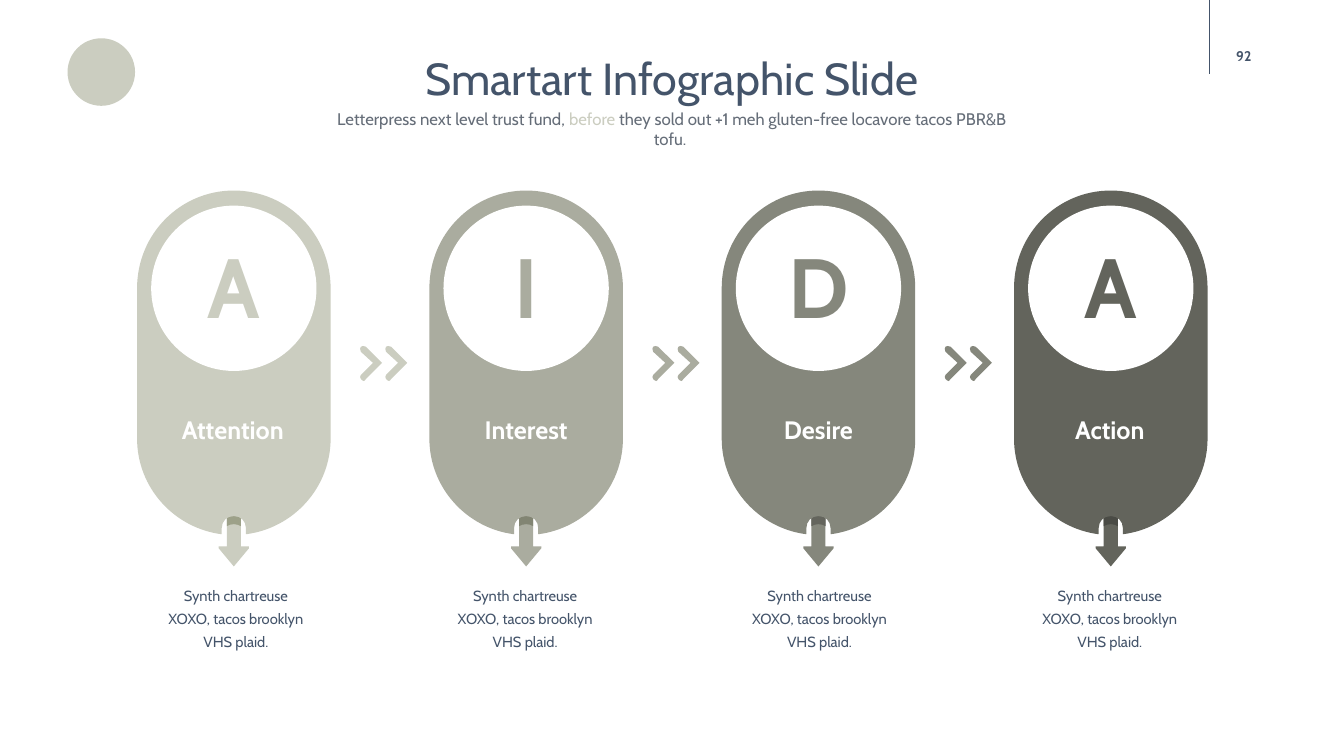
from pptx import Presentation
from pptx.dml.color import RGBColor
from pptx.enum.shapes import MSO_CONNECTOR, MSO_SHAPE
from pptx.enum.text import MSO_ANCHOR, PP_ALIGN
from pptx.oxml.ns import qn
from pptx.util import Inches, Pt

NAVY = RGBColor(0x44, 0x54, 0x6A)
GREY = RGBColor(0x65, 0x6D, 0x78)
WHITE = RGBColor(0xFF, 0xFF, 0xFF)
SAND = RGBColor(0xCB, 0xCD, 0xC0)
SAND_DARK = RGBColor(0x9D, 0xA1, 0x89)
SAGE = RGBColor(0xAA, 0xAC, 0x9F)
SAGE_DARK = RGBColor(0x82, 0x85, 0x73)
MOSS = RGBColor(0x85, 0x87, 0x7C)
MOSS_DARK = RGBColor(0x64, 0x65, 0x5D)
COAL = RGBColor(0x63, 0x64, 0x5C)
COAL_DARK = RGBColor(0x4A, 0x4B, 0x45)

TITLE = "Smartart Infographic Slide"
SUBTITLE = [
    ("Letterpress next level trust fund, ", GREY),
    ("before", SAND),
    (" they sold out +1 meh gluten-free locavore tacos PBR&B tofu. ", GREY),
]
PAGE = "92"
CAPTION = "Synth chartreuse XOXO, tacos brooklyn VHS plaid."
STEPS = [
    ("A", "Attention", SAND, SAND_DARK, -0.01, 0.02),
    ("I", "Interest", SAGE, SAGE_DARK, 0, -0.01),
    ("D", "Desire", MOSS, MOSS_DARK, 0, 0.01),
    ("A", "Action", COAL, COAL_DARK, -0.01, -0.01),
]

W, H = 40 / 3, 7.5
FIRST, PITCH = 2.32, 2.9
DISC = 1.64
CHEVRON_DX, CHEVRON_Y, CHEVRON_STEP = 1.25, 3.43, 0.25

PILL = [
    [(0.96, 2.86)],
    [(0.96, 4.35)],
    [(0.96, 4.84), (0.59, 5.24), (0.12, 5.3)],
    [(0.12, 5.24)],
    [(0.12, 5.17), (0.07, 5.12), (0, 5.12)],
    [(-0.07, 5.12), (-0.12, 5.17), (-0.12, 5.24)],
    [(-0.12, 5.3)],
    [(-0.59, 5.24), (-0.96, 4.84), (-0.96, 4.35)],
    [(-0.96, 2.86)],
    [(-0.96, 2.32), (-0.53, 1.89), (0, 1.89)],
    [(0.53, 1.89), (0.96, 2.32), (0.96, 2.86)],
]
ARROW_SIDE = [(0.07, 5.11), (0.07, 5.42), (0.15, 5.42), (0.15, 5.44)]
ARROW = [[pt] for pt in ARROW_SIDE + [(0, 5.62)]]
ARROW += [[(-x, y)] for x, y in reversed(ARROW_SIDE)]
ARROW_SHADE = [
    [(0.07, 5.11)],
    [(-0.07, 5.11)],
    [(-0.07, 5.22)],
    [(-0.05, 5.21), (-0.03, 5.2), (0, 5.2)],
    [(0.03, 5.2), (0.05, 5.21), (0.07, 5.22)],
]
CHEVRON = [
    [(0.04, 0.35)],
    [(0.03, 0.35), (0.02, 0.34), (0.01, 0.33)],
    [(0, 0.32), (0, 0.3), (0.01, 0.29)],
    [(0.13, 0.17)],
    [(0.01, 0.06)],
    [(0, 0.04), (0, 0.02), (0.01, 0.01)],
    [(0.02, 0), (0.04, 0), (0.06, 0.01)],
    [(0.22, 0.17)],
    [(0.06, 0.33)],
    [(0.05, 0.34), (0.05, 0.35), (0.04, 0.35)],
]

prs = Presentation()
prs.slide_width, prs.slide_height = Inches(W), Inches(H)
s = prs.slides.add_slide(prs.slide_layouts[6])


def paint(sp, color):
    sp.shadow.inherit = False
    sp.fill.solid()
    sp.fill.fore_color.rgb = color
    sp.line.fill.background()
    return sp


def outline(segments, dx, dy, color):
    pts = [(Inches(dx + x), Inches(dy + y)) for seg in segments for x, y in seg]
    fb = s.shapes.build_freeform(*pts[0], scale=1.0)
    fb.add_line_segments(pts[1:], close=True)
    sp = paint(fb.convert_to_shape(), color)
    lines = iter(list(sp._element.iter(qn("a:lnTo"))))
    for seg in segments[1:]:
        steps = [next(lines) for _ in seg]
        if len(steps) == 3:
            curve = steps[0].makeelement(qn("a:cubicBezTo"), {})
            steps[0].addprevious(curve)
            for step in steps:
                curve.append(step[0])
                step.getparent().remove(step)


def disc(x, y, size, color):
    box = [Inches(v) for v in (x, y, size, size)]
    return paint(s.shapes.add_shape(MSO_SHAPE.OVAL, *box), color)


def write(sp, runs, size, bold=False, spacing=1.0, anchor=MSO_ANCHOR.TOP):
    tf = sp.text_frame
    tf.word_wrap = True
    tf.vertical_anchor = anchor
    p = tf.paragraphs[0]
    p.alignment, p.line_spacing = PP_ALIGN.CENTER, spacing
    for text, color in runs:
        r = p.add_run()
        r.text = text
        r.font.color.rgb = color
        for key, value in dict(name="Cabin", size=Pt(size), bold=bold).items():
            setattr(r.font, key, value)


def label(cx, y, w, h, runs, size, **fmt):
    box = [Inches(v) for v in (cx - w / 2, y, w, h)]
    write(s.shapes.add_textbox(*box), runs, size, **fmt)


disc(0.67, 0.38, 0.67, SAND)
rule = s.shapes.add_connector(
    MSO_CONNECTOR.STRAIGHT, Inches(12), 0, Inches(12), Inches(0.73))
rule.line.color.rgb, rule.line.width = NAVY, Pt(1)
rule._element.spPr.append(rule._element.makeelement(qn("a:effectLst"), {}))
label(12.34, 0.36, 0.8, 0.4, [(PAGE, NAVY)], 10, bold=True, anchor=MSO_ANCHOR.MIDDLE)
label(W / 2, 0.45, 8.26, 0.64, [(TITLE, NAVY)], 32)
label(W / 2, 1.03, 6.95, 0.3, SUBTITLE, 12)

for i, (letter, word, color, dark, word_dx, caption_dx) in enumerate(STEPS):
    cx = FIRST + i * PITCH
    for segments, fill in ((ARROW, color), (ARROW_SHADE, dark), (PILL, color)):
        outline(segments, cx, 0, fill)
    circle = disc(cx - DISC / 2, 2.04, DISC, WHITE)
    write(circle, [(letter, color)], 60, bold=True)
    label(cx + word_dx, 4.1, 1.31, 0.4, [(word, WHITE)], 18, bold=True, spacing=0.9)
    label(cx + caption_dx, 5.72, 1.65, 0.79, [(CAPTION, NAVY)], 10.5, spacing=1.3)
    if i < len(STEPS) - 1:
        for j in range(2):
            outline(CHEVRON, cx + CHEVRON_DX + j * CHEVRON_STEP, CHEVRON_Y, color)

prs.save("out.pptx")
